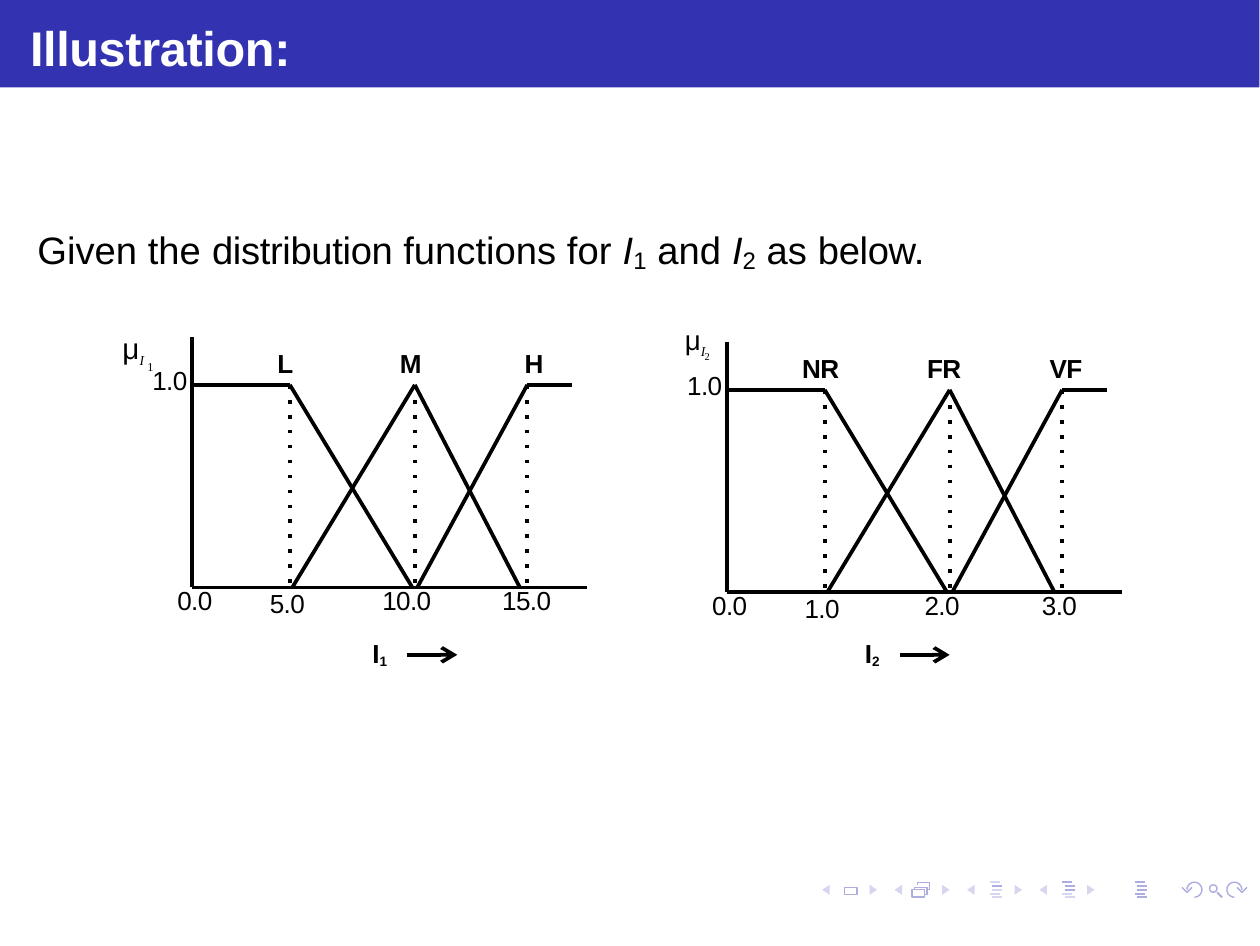
from math import cos, radians, sin

from lxml.etree import SubElement
from pptx import Presentation
from pptx.dml.color import RGBColor
from pptx.enum.shapes import MSO_CONNECTOR, MSO_SHAPE
from pptx.enum.text import MSO_AUTO_SIZE
from pptx.oxml.ns import qn
from pptx.util import Inches, Pt

COLORS = {"bar": "3333B2", "white": "FFFFFF", "black": "000000",
          "dark": "ADADE0", "pale": "D6D6EF"}
STROKE = 1.08
TALL = 0.81  # height of full membership above the base line
PITCH = 0.29  # step between navigation groups

SOLID = [(0, 0, 1.58, 0), (0, 0, 0, -1), (0, -TALL, 0.39, -TALL),
         (0.39, -TALL, 0.88, 0), (0.4, 0, 0.89, -TALL),
         (0.89, -TALL, 1.31, 0), (0.9, 0, 1.34, -TALL),
         (1.34, -TALL, 1.52, -TALL)]
PEAKS = [0.39, 0.89, 1.34]

PLOTS = [
    dict(left=0.77, base=2.35, index="1", name=0.68,
         sets=[("L", 0.33, 0.09), ("M", 0.82, 0.12), ("H", 1.32, 0.1)],
         ticks=[("5.0", 0.3, -0.01), ("10.0", 0.75, -0.02), ("15.0", 1.23, -0.02)],
         mu=(-0.32, -1.05, 8.5), sub=(-0.19, -0.92, 3.5), tight=-0.5),
    dict(left=2.91, base=2.37, index="2", name=0.51,
         sets=[("NR", 0.29, 0.18), ("FR", 0.79, 0.17), ("VF", 1.28, 0.16)],
         ticks=[("1.0", 0.3, -0.01), ("2.0", 0.78, -0.02), ("3.0", 1.25, -0.02)],
         mu=(-0.21, -1.1, 8), sub=(-0.1, -0.98, 3), tight=-0.2),
]


def tint(name):
    return RGBColor.from_string(COLORS[name])


def paint(shape, fill=None, line=None, width=0.4):
    shape.shadow.inherit = False
    if fill:
        shape.fill.solid()
        shape.fill.fore_color.rgb = tint(fill)
    else:
        shape.fill.background()
    if line:
        shape.line.color.rgb = tint(line)
        shape.line.width = Pt(width)
    else:
        shape.line.fill.background()


def block(slide, kind, left, top, width, height, **look):
    shape = slide.shapes.add_shape(
        kind, Inches(left), Inches(top), Inches(width), Inches(height))
    paint(shape, **look)


def trace(slide, points, close=False, **look):
    """Draw a freeform through the points."""
    spots = [(Inches(x), Inches(y)) for x, y in points]
    form = slide.shapes.build_freeform(*spots[0], scale=1.0)
    form.add_line_segments(spots[1:], close=close)
    paint(form.convert_to_shape(), **look)


def rule(slide, x1, y1, x2, y2, color="black", width=STROKE, dots=False, head=False):
    """Draw a straight line, dotted or with an arrowhead if asked."""
    link = slide.shapes.add_connector(
        MSO_CONNECTOR.STRAIGHT, Inches(x1), Inches(y1), Inches(x2), Inches(y2))
    link.line.color.rgb = tint(color)
    link.line.width = Pt(width)
    props = link.element.spPr
    stroke = props.find(qn("a:ln"))
    if dots:
        SubElement(stroke, qn("a:prstDash"), val="dot")
    if head:
        SubElement(stroke, qn("a:tailEnd"), type="arrow", w="sm", len="sm")
    SubElement(props, qn("a:effectLst"))


def frame(slide, left, top, width, height, inset=0.01, pad=0.01, before=1):
    """Add an empty text box and return its paragraph."""
    shape = slide.shapes.add_textbox(
        Inches(left), Inches(top), Inches(width), Inches(height))
    text = shape.text_frame
    text.word_wrap = True
    text.auto_size = MSO_AUTO_SIZE.SHAPE_TO_FIT_TEXT
    text.margin_left, text.margin_top = Inches(pad), Inches(inset)
    text.margin_right = text.margin_bottom = 0
    para = text.paragraphs[0]
    para.space_before = Pt(before)
    return para


def write(para, text, size=7.5, font="Arial", color="black", bold=False,
          slant=False, track=0, shift=0):
    """Append a run; track is in points, shift in percent of the size."""
    run = para.add_run()
    run.text = text
    run.font.size = Pt(size)
    run.font.name = font
    run.font.bold = bold
    run.font.italic = slant
    run.font.color.rgb = tint(color)
    props = run._r.get_or_add_rPr()
    if track:
        props.set("spc", str(round(track * 100)))
    if shift:
        props.set("baseline", str(shift * 1000))


def plot(slide, left, base, index, name, sets, ticks, mu, sub, tight):
    for x1, y1, x2, y2 in SOLID:
        rule(slide, left + x1, base + y1, left + x2, base + y2)
    for x in PEAKS:
        rule(slide, left + x, base - TALL, left + x, base, dots=True)

    marks = [("0.0", -0.07, -0.02), ("1.0", -0.17, -0.9)] + ticks
    for text, x, y in marks:
        wide = 0.17 if len(text) == 3 else 0.23
        write(frame(slide, left + x, base + y, wide, 0.15), text, track=-0.2)
    for text, x, wide in sets:
        para = frame(slide, left + x, base - 0.97, wide, 0.15)
        write(para, text, bold=True, track=tight)

    x, y, size = mu
    para = frame(slide, left + x, base + y, 0.18, 0.17, inset=0.02, pad=0.04, before=1.2)
    write(para, "μ", size=size, track=-0.2)
    write(para, "I", size=6.8, font="Times New Roman", slant=True, track=-0.4, shift=-25)
    x, y, size = sub
    para = frame(slide, left + x, base + y, 0.05, 0.09)
    write(para, index, size=size, font="Times New Roman", track=-0.5)

    x, y = left + name, 2.54
    para = frame(slide, x, y, 0.15, 0.15, pad=0.04)
    write(para, "I", bold=True, track=-0.2)
    write(para, index, size=6.8, bold=True, track=-0.4, shift=-12)
    rule(slide, x + 0.18, y + 0.08, x + 0.38, y + 0.08, head=True)


def bars(slide, left, dark):
    """Draw five text bars; the rows listed in dark are stronger."""
    for row in range(5):
        x = left + (0.01 if row % 3 else 0)
        y = 3.53 + 0.015 * row
        rule(slide, x, y, x + 0.04, y, color="dark" if row in dark else "pale", width=0.6)


def loop(slide, flip):
    """Draw the back arrow, or its mirror for the forward arrow."""
    turn = [(4.78 + 0.03 * cos(radians(a)), 3.56 + 0.03 * sin(radians(a)))
            for a in range(90, -181, -15)]
    tip = [(4.77, 3.55), (4.75, 3.57), (4.73, 3.55)]
    for points in (turn, tip):
        if flip:
            points = [(9.72 - x, y) for x, y in points]
        trace(slide, points, line="dark")


def controls(slide):
    for step in range(4):
        left = 3.29 + PITCH * step
        for base, tip in ((left + 0.03, left), (left + 0.19, left + 0.22)):
            trace(slide, [(base, 3.54), (tip, 3.56), (base, 3.58)], close=True, fill="pale")
    block(slide, MSO_SHAPE.RECTANGLE, 3.38, 3.55, 0.05, 0.03, line="dark")
    block(slide, MSO_SHAPE.RECTANGLE, 3.65, 3.56, 0.05, 0.03, line="dark")
    for x, y in ((3.66, 3.55), (3.67, 3.53)):
        trace(slide, [(x, y + 0.01), (x, y), (x + 0.05, y), (x + 0.05, y + 0.03),
                      (x + 0.04, y + 0.03)], line="dark")
    for step, dark in enumerate([{1}, {0, 1, 2}, set(range(5))]):
        bars(slide, 3.96 + PITCH * step, dark)
    block(slide, MSO_SHAPE.OVAL, 4.84, 3.54, 0.03, 0.03, line="dark")
    rule(slide, 4.87, 3.57, 4.89, 3.59, color="dark", width=0.6)
    for flip in (False, True):
        loop(slide, flip)


def main():
    deck = Presentation()
    deck.slide_width = Inches(363 / 72)
    deck.slide_height = Inches(272.5 / 72)
    slide = deck.slides.add_slide(deck.slide_layouts[6])

    controls(slide)
    block(slide, MSO_SHAPE.RECTANGLE, 0, 0, 5.04, 0.35, fill="bar")
    para = frame(slide, 0.1, 0.05, 3.79, 0.27, inset=0.02, pad=0.02, before=1.4)
    write(para, "Illustration:", size=14, color="white", bold=True, track=-0.1)

    para = frame(slide, 0.11, 0.88, 3.64, 0.21, pad=0.04, before=0.9)
    write(para, "Given the ", size=11)
    write(para, "distribution ", size=11, track=-0.1)
    write(para, "functions for ", size=11)
    for index, text in (("1", " and "), ("2", " as ")):
        write(para, "I", size=11, slant=True)
        write(para, index, size=12, shift=-14)
        write(para, text, size=11)
    write(para, "below.", size=11, track=-0.1)

    for data in PLOTS:
        plot(slide, **data)
    deck.save("out.pptx")


if __name__ == "__main__":
    main()
